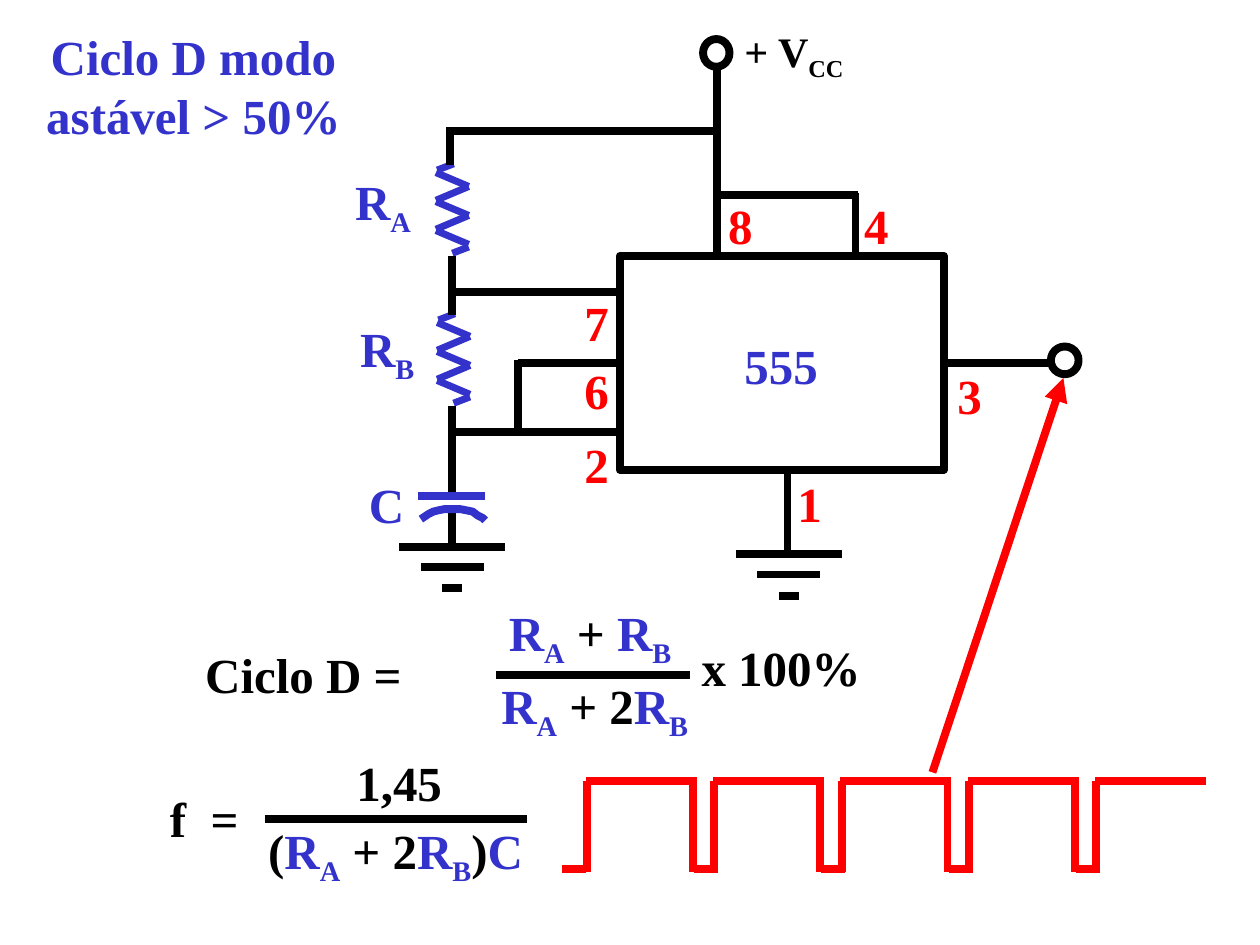
import dataclasses
import typing

import lxml.etree
import pptx
import pptx.dml.color
import pptx.enum.shapes
import pptx.enum.text
import pptx.oxml.ns
import pptx.util

PX = 9144  # EMU per px: 100 px to the inch
COLOURS = {"blue": "3333CC", "black": "000000", "red": "FF0000", "white": "FFFFFF"}
FONT = {"name": "Times New Roman", "bold": True}
FRAME = {"word_wrap": False, "auto_size": pptx.enum.text.MSO_AUTO_SIZE.NONE}
SHAPES = pptx.enum.shapes.MSO_SHAPE


@dataclasses.dataclass
class Wire:
    x1: int
    y1: int
    x2: int
    y2: int
    colour: str = "black"
    weight: float = 4.5


@dataclasses.dataclass
class Span:
    words: str
    colour: str = "black"
    sub: bool = False


@dataclasses.dataclass
class Label:
    x: int
    y: int
    width: int
    height: int
    lines: list[list[Span]]
    size: int = 28
    centred: bool = False


def rgb(name: str) -> pptx.dml.color.RGBColor:
    return pptx.dml.color.RGBColor.from_string(COLOURS[name])


def style_line(line: typing.Any, colour: str, weight: float = 4.5) -> None:
    line.color.rgb = rgb(colour)
    line.width = pptx.util.Pt(weight)


def draw_wire(page: typing.Any, wire: Wire) -> typing.Any:
    ends = [value * PX for value in (wire.x1, wire.y1, wire.x2, wire.y2)]
    connector = page.shapes.add_connector(pptx.enum.shapes.MSO_CONNECTOR.STRAIGHT, *ends)
    style_line(connector.line, wire.colour, wire.weight)
    properties = connector._element.spPr
    lxml.etree.SubElement(properties, pptx.oxml.ns.qn("a:effectLst"))
    return connector


def draw_shape(page: typing.Any, kind: typing.Any, x: int, y: int, width: int,
               height: int, fill: str | None = None) -> typing.Any:
    shape = page.shapes.add_shape(kind, x * PX, y * PX, width * PX, height * PX)
    shape.shadow.inherit = False
    if fill:
        shape.fill.solid()
        shape.fill.fore_color.rgb = rgb(fill)
    else:
        shape.fill.background()
    style_line(shape.line, "black")
    return shape


def draw_label(page: typing.Any, label: Label) -> None:
    box = page.shapes.add_textbox(label.x * PX, label.y * PX, label.width * PX, label.height * PX)
    frame = box.text_frame
    for name, value in FRAME.items():
        setattr(frame, name, value)
    for index, line in enumerate(label.lines):
        para = frame.add_paragraph() if index else frame.paragraphs[0]
        if label.centred:
            para.alignment = pptx.enum.text.PP_ALIGN.CENTER
        for span in line:
            run = para.add_run()
            run.text = span.words
            for name, value in {**FONT, "size": pptx.util.Pt(label.size)}.items():
                setattr(run.font, name, value)
            run.font.color.rgb = rgb(span.colour)
            if span.sub:
                run.font._element.set("baseline", "-25000")


def draw_resistor(page: typing.Any, x: int, y: int) -> None:
    strokes = [(2, 5, 15, 0), (14, 71, 27, 66)]
    strokes += [(27, 18 + 23 * turn, 1, 7 + 23 * turn) for turn in range(3)]
    strokes += [(1, 29 + 23 * turn, 27, 18 + 23 * turn) for turn in range(2)]
    for x1, y1, x2, y2 in strokes:
        draw_wire(page, Wire(x + x1, y + y1, x + x2, y + y2, "blue", 4))


def draw_ground(page: typing.Any, centre: int, y: int) -> None:
    for step, half in enumerate((42, 25, 8)):
        level = y + round(16.5 * step)
        draw_wire(page, Wire(centre - half, level, centre + half, level))


def draw_capacitor(page: typing.Any) -> None:
    draw_wire(page, Wire(332, 394, 385, 394, "blue"))
    start = (385, 413)
    curves = [((383, 411), (376, 406), (370, 405)),
              ((364, 403), (354, 404), (348, 405)),
              ((342, 406), (337, 410), (334, 412))]
    points, p0 = [], start
    for p1, p2, p3 in curves:
        for t in (0.25, 0.5, 0.75, 1):
            u = 1 - t
            points.append(tuple(u**3 * a + 3 * u * u * t * b + 3 * u * t * t * c + t**3 * d
                                for a, b, c, d in zip(p0, p1, p2, p3)))
        p0 = p3
    builder = page.shapes.build_freeform(*start, scale=PX)
    builder.add_line_segments(points, close=False)
    plate = builder.convert_to_shape()
    plate.shadow.inherit = False
    plate.fill.background()
    style_line(plate.line, "blue")


def draw_wave(page: typing.Any, pulses: int = 5) -> None:
    high, low = 620, 690
    for pulse in range(pulses):
        x = 466 + 101 * pulse
        start = x - 16 if pulse else x - 20
        draw_wire(page, Wire(start, low, start + 19, low, "red"))
        draw_wire(page, Wire(x, low + 2, x, high, "red"))
        draw_wire(page, Wire(x - 1, high, x + 87, high, "red"))
        if pulse < pulses - 1:
            draw_wire(page, Wire(x + 84, low + 2, x + 84, high + 2, "red"))


def resistor_name(letter: str) -> list[Span]:
    return [Span("R", "blue"), Span(letter, "blue", True)]


RA, RB = resistor_name("A"), resistor_name("B")
WIRES = [
    Wire(361, 232, 490, 232), Wire(359, 343, 492, 343), Wire(358, 104, 568, 104),
    Wire(569, 201, 569, 52), Wire(569, 155, 681, 155), Wire(679, 153, 679, 205),
    Wire(411, 341, 411, 286), Wire(357, 131, 357, 101), Wire(359, 203, 359, 250),
    Wire(625, 438, 625, 375), Wire(359, 322, 359, 391), Wire(359, 404, 359, 437),
    Wire(210, 650, 418, 650), Wire(394, 536, 548, 536),  # fraction bars
]
PINS = {"4": (676, 150), "8": (568, 150), "7": (454, 227), "6": (454, 281),
        "1": (623, 371), "3": (750, 285), "2": (454, 340)}
LABELS = [
    Label(27, 16, 253, 104, [[Span("Ciclo D modo", "blue")], [Span("astável > 50%", "blue")]],
          centred=True),
    Label(581, 15, 99, 56, [[Span("+ V"), Span("CC", sub=True)]], 24),
    Label(581, 261, 78, 57, [[Span("555", "blue")]]),
    Label(272, 131, 64, 63, [RA]),
    Label(276, 248, 63, 63, [RB]),
    Label(283, 372, 48, 57, [[Span("C", "blue")]]),
    Label(153, 507, 185, 57, [[Span("Ciclo D =")]]),
    Label(394, 473, 149, 63, [[*RA, Span(" + "), *RB]]),
    Label(388, 531, 168, 63, [[*RA, Span(" + 2"), *RB]]),
    Label(547, 501, 146, 57, [[Span("x 100%")]]),
    Label(125, 621, 74, 57, [[Span("f  =")]]),
    Label(273, 592, 88, 57, [[Span("1,45")]]),
    Label(203, 646, 222, 63, [[Span("("), *RA, Span(" + 2"), *RB, Span(")"), Span("C", "blue")]]),
]


def main() -> None:
    deck = pptx.Presentation()
    deck.slide_width, deck.slide_height = 1000 * PX, 750 * PX
    page = deck.slides.add_slide(deck.slide_layouts[6])

    # Components
    draw_resistor(page, 345, 130)
    draw_resistor(page, 346, 249)
    draw_ground(page, 359, 434)
    draw_ground(page, 626, 440)
    chip = draw_shape(page, SHAPES.RECTANGLE, 492, 203, 257, 170, "white")
    draw_shape(page, SHAPES.OVAL, 558, 31, 21, 22)
    draw_shape(page, SHAPES.OVAL, 834, 275, 22, 22)

    # Wiring, with pins 6 and 3 joined to the chip
    for wire in WIRES:
        draw_wire(page, wire)
    draw_wire(page, Wire(411, 288, 492, 288)).end_connect(chip, 1)
    draw_wire(page, Wire(749, 288, 833, 288)).begin_connect(chip, 3)
    draw_capacitor(page)

    # Text
    for digit, (x, y) in PINS.items():
        draw_label(page, Label(x, y, 39, 57, [[Span(digit, "red")]]))
    for label in LABELS:
        draw_label(page, label)

    # Output wave and its arrow
    draw_wave(page)
    arrow = draw_wire(page, Wire(740, 613, 844, 300, "red"))
    lxml.etree.SubElement(arrow.line._get_or_add_ln(), pptx.oxml.ns.qn("a:tailEnd"), type="triangle")

    deck.save("out.pptx")


if __name__ == "__main__":
    main()
